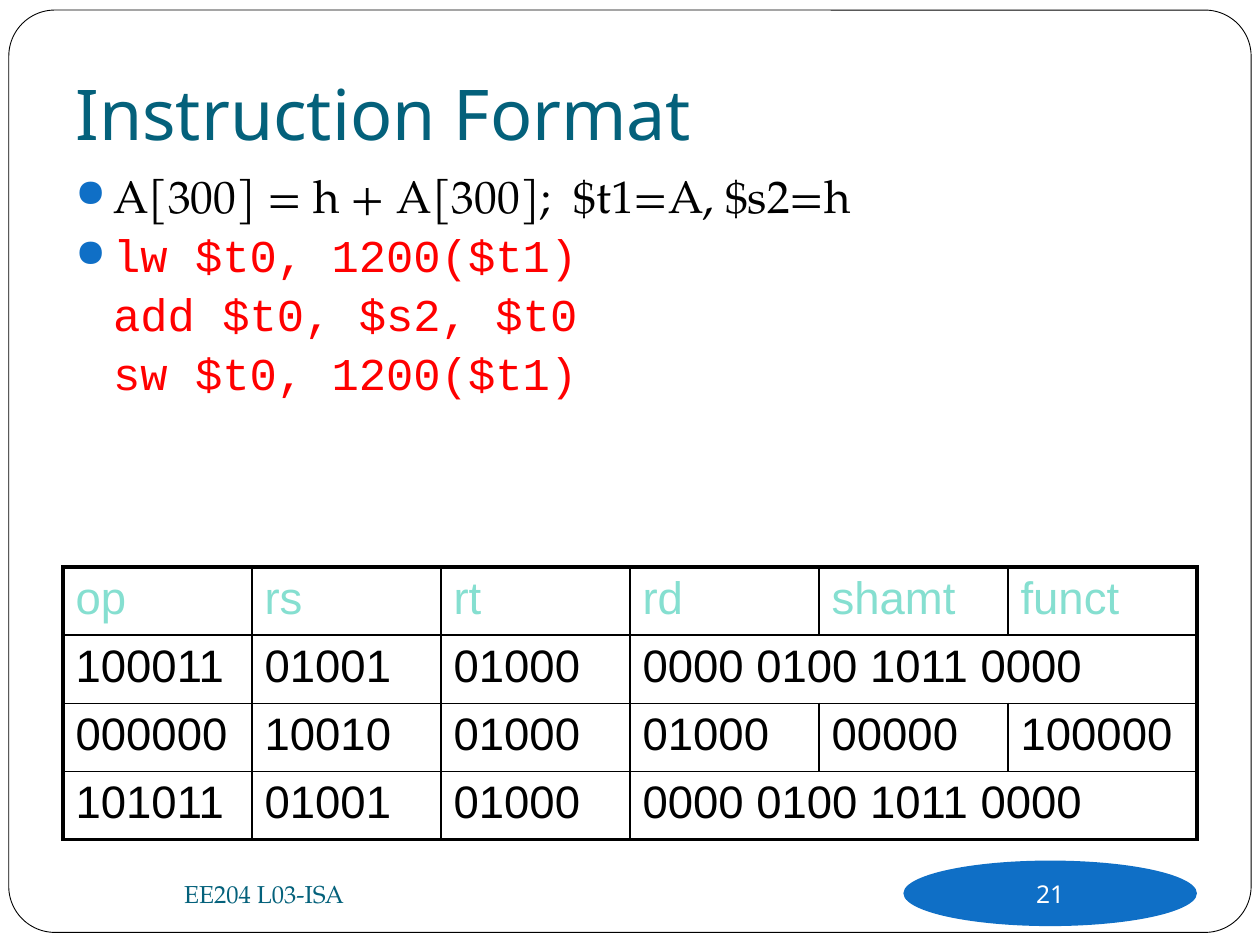
from lxml.etree import SubElement
from pptx import Presentation
from pptx.dml.color import RGBColor
from pptx.enum.shapes import MSO_SHAPE
from pptx.enum.text import MSO_ANCHOR, MSO_AUTO_SIZE, PP_ALIGN
from pptx.oxml import parse_xml
from pptx.oxml.ns import nsdecls, qn
from pptx.util import Inches, Pt

BLACK = RGBColor(0x00, 0x00, 0x00)
WHITE = RGBColor(0xFF, 0xFF, 0xFF)
TEAL = RGBColor(0x04, 0x61, 0x7B)
BLUE = RGBColor(0x0F, 0x6F, 0xC6)
RED = RGBColor(0xFF, 0x00, 0x00)
MINT = RGBColor(0x85, 0xDF, 0xD0)

COLUMNS, ROWS = 20, 15
INDENT = Inches(0.3)
OUTER_LINE, INNER_LINE = 2.25, 1

ASSIGNMENT = "A[300] = h + A[300];  $t1=A, $s2=h"
ASSEMBLY = ["lw $t0, 1200($t1)", "add $t0, $s2, $t0", "sw $t0, 1200($t1)"]
FIELDS = ["op", "rs", "rt", "rd", "shamt", "funct"]
# A row shorter than FIELDS lets its last value span the remaining columns.
ENCODINGS = [
    ["100011", "01001", "01000", "0000 0100 1011 0000"],
    ["000000", "10010", "01000", "01000", "00000", "100000"],
    ["101011", "01001", "01000", "0000 0100 1011 0000"],
]


def apply(target, values):
    for name, value in values.items():
        setattr(target, name, value)


class SlideBuilder:
    formats = {
        "title": {"name": "Noto Sans", "size": Pt(40)},
        "statement": {"name": "TeX Gyre Pagella", "size": Pt(26)},
        "code": {"name": "Courier New", "size": Pt(26)},
        "table": {"name": "Arial", "size": Pt(26), "bold": False},
        "footer": {"name": "TeX Gyre Pagella", "size": Pt(14)},
        "number": {"name": "Noto Sans", "size": Pt(14)},
    }

    def __init__(self, deck):
        self.column = deck.slide_width / COLUMNS
        self.row = deck.slide_height / ROWS
        self.slide = deck.slides.add_slide(deck.slide_layouts[5])
        self.shapes = self.slide.shapes

    def box(self, column, row, columns, rows):
        """Turn grid units into left, top, width and height."""
        return (round(column * self.column), round(row * self.row),
                round(columns * self.column), round(rows * self.row))

    def add_text(self, paragraph, text, style, color):
        run = paragraph.add_run()
        run.text = text
        apply(run.font, self.formats[style])
        run.font.color.rgb = color

    def frame(self, *grid):
        outline = self.shapes.add_shape(MSO_SHAPE.ROUNDED_RECTANGLE, *self.box(*grid))
        outline.shadow.inherit = False
        outline.adjustments[0] = 0.05
        outline.fill.solid()
        outline.fill.fore_color.rgb = WHITE
        outline.line.color.rgb = BLACK
        outline.line.width = Pt(0.5)
        self.shapes.title._element.addprevious(outline._element)

    def title(self, text, *grid):
        heading = self.shapes.title
        apply(heading, dict(zip(("left", "top", "width", "height"), self.box(*grid))))
        apply(heading.text_frame, {
            "vertical_anchor": MSO_ANCHOR.BOTTOM, "auto_size": MSO_AUTO_SIZE.NONE,
            "margin_bottom": Inches(0.1), "word_wrap": True})
        paragraph = heading.text_frame.paragraphs[0]
        paragraph.alignment = PP_ALIGN.LEFT
        self.add_text(paragraph, text, "title", TEAL)

    def body(self, lines, *grid):
        """Add (text, style, color, bulleted) lines with a shared indent."""
        frame = self.shapes.add_textbox(*self.box(*grid)).text_frame
        frame.word_wrap = True
        for index, (text, style, color, bulleted) in enumerate(lines):
            paragraph = frame.add_paragraph() if index else frame.paragraphs[0]
            self.indent(paragraph, bulleted)
            paragraph.line_spacing = 0.9
            if index:
                paragraph.space_before = Pt(5.8)
            self.add_text(paragraph, text, style, color)

    def indent(self, paragraph, bulleted):
        properties = paragraph._p.get_or_add_pPr()
        properties.set("marL", str(INDENT))
        properties.set("indent", str(-INDENT if bulleted else 0))
        if bulleted:
            bullet_color = SubElement(properties, qn("a:buClr"))
            SubElement(bullet_color, qn("a:srgbClr"), val=str(BLUE))
            SubElement(properties, qn("a:buSzPct"), val="85000")
            SubElement(properties, qn("a:buChar"), char="●")
        else:
            SubElement(properties, qn("a:buNone"))

    def table(self, header, records, *grid):
        rows = [header, *records]
        last_row, last_column = len(rows) - 1, len(header) - 1
        table = self.shapes.add_table(len(rows), len(header), *self.box(*grid)).table
        apply(table, {"first_row": False, "horz_banding": False})
        for r, values in enumerate(rows):
            for c, value in enumerate(values):
                cell = table.cell(r, c)
                end = last_column if c == len(values) - 1 else c
                if end > c:
                    cell.merge(table.cell(r, end))
                cell.fill.background()
                self.add_text(cell.text_frame.paragraphs[0], value, "table",
                              BLACK if r else MINT)
                self.borders(cell, {"L": c == 0, "R": end == last_column,
                                    "T": r == 0, "B": r == last_row})

    def borders(self, cell, outer_sides):
        properties = cell._tc.get_or_add_tcPr()
        for position, (side, outer) in enumerate(outer_sides.items()):
            width = Pt(OUTER_LINE if outer else INNER_LINE)
            properties.insert(position, parse_xml(
                f'<a:ln{side} {nsdecls("a")} w="{width}"><a:solidFill>'
                f'<a:srgbClr val="{BLACK}"/></a:solidFill></a:ln{side}>'))

    def footer(self, text, *grid):
        frame = self.shapes.add_textbox(*self.box(*grid)).text_frame
        apply(frame, {"word_wrap": True, "vertical_anchor": MSO_ANCHOR.MIDDLE})
        frame.paragraphs[0].alignment = PP_ALIGN.RIGHT
        self.add_text(frame.paragraphs[0], text, "footer", TEAL)

    def number(self, text, *grid):
        badge = self.shapes.add_shape(MSO_SHAPE.OVAL, *self.box(*grid))
        badge.shadow.inherit = False
        badge.fill.solid()
        badge.fill.fore_color.rgb = BLUE
        badge.line.fill.background()
        frame = badge.text_frame
        apply(frame, {"word_wrap": False, "vertical_anchor": MSO_ANCHOR.MIDDLE,
                      "margin_left": 0, "margin_right": 0,
                      "margin_top": 0, "margin_bottom": 0})
        frame.paragraphs[0].alignment = PP_ALIGN.CENTER
        self.add_text(frame.paragraphs[0], text, "number", WHITE)


def main():
    deck = Presentation()
    apply(deck, {"slide_width": Inches(10), "slide_height": Inches(7.5)})
    slide = SlideBuilder(deck)
    slide.frame(0.14, 0.16, 19.72, 14.64)
    slide.title("Instruction Format", 1, 0.16, 18, 2.5)
    code = [(line, "code", RED, index == 0) for index, line in enumerate(ASSEMBLY)]
    slide.body([(ASSIGNMENT, "statement", BLACK, True), *code], 1, 2.66, 18, 4.76)
    slide.table(FIELDS, ENCODINGS, 1, 9, 18, 4.33)
    slide.footer("EE204 L03-ISA", 1, 13.66, 4.66, 1.04)
    slide.number("21", 14.34, 13.66, 4.66, 1.04)
    deck.save("out.pptx")


if __name__ == "__main__":
    main()
